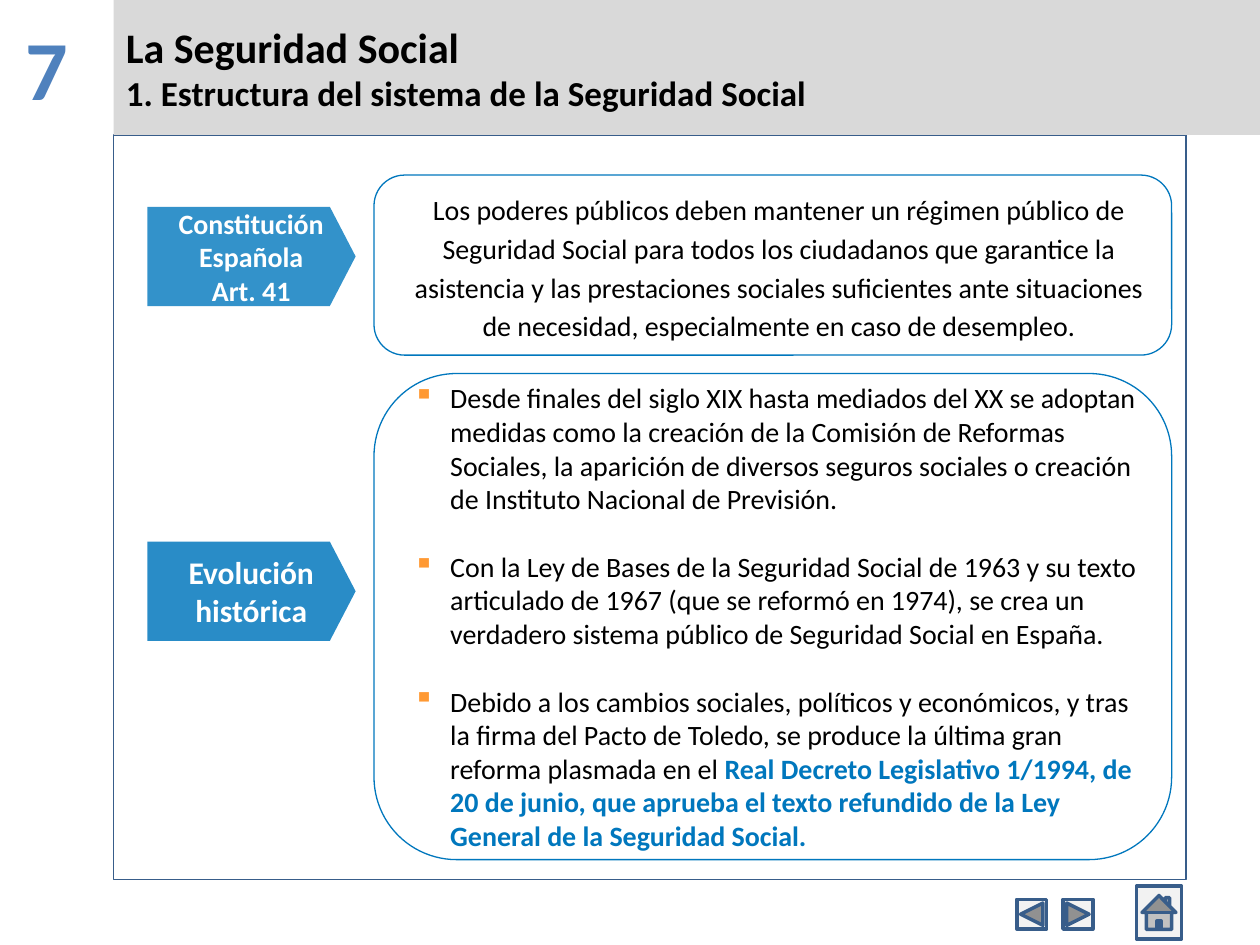
from dataclasses import dataclass

from lxml import etree
from pptx import Presentation
from pptx import util as u
from pptx.dml.color import RGBColor
from pptx.enum import shapes, text
from pptx.oxml.ns import qn

SHAPE = shapes.MSO_SHAPE
CENTER = text.PP_ALIGN.CENTER
LEFT = text.PP_ALIGN.LEFT


@dataclass(frozen=True)
class Theme:
    font: str = "Calibri"
    ink: str = "000000"
    white: str = "FFFFFF"
    number: str = "4F81BD"
    band: str = "D9D9D9"
    frame: str = "385D8A"
    button: str = "F2F2F2"
    accent: str = "0077BD"
    bullet: str = "FF9933"
    number_size: int = 48
    title_size: int = 24
    subtitle_size: int = 20
    label_size: int = 18
    body_size: int = 16


THEME = Theme()


def add_bullet(para, char, color, percent, indent):
    """Give the paragraph a coloured bullet; indent is (margin, first line) in cm."""
    props = para._p.get_or_add_pPr()
    margin, first = indent
    props.set("marL", str(u.Cm(margin)))
    props.set("indent", str(u.Cm(first)))
    bullet_color = etree.SubElement(props, qn("a:buClr"))
    etree.SubElement(bullet_color, qn("a:srgbClr"), val=color)
    etree.SubElement(props, qn("a:buSzPct"), val=str(percent * 1000))
    etree.SubElement(props, qn("a:buChar"), char=char)


def write(para, content, size=THEME.body_size, color=THEME.ink, bold=False,
          align=LEFT, before=0, after=0, spacing=None):
    """Add one span of text to the paragraph and set its format."""
    para.alignment = align
    para.space_before, para.space_after = u.Pt(before), u.Pt(after)
    if spacing:
        para.line_spacing = spacing
    span = para.add_run()
    span.text = content
    span.font.name = THEME.font
    span.font.size = u.Pt(size)
    span.font.bold = bold
    span.font.color.rgb = RGBColor.from_string(color)


class SlideBuilder:
    def __init__(self, page, theme):
        self.page = page
        self.theme = theme

    def set_frame(self, box, margins, anchor=text.MSO_ANCHOR.MIDDLE):
        frame = box.text_frame
        frame.word_wrap = True
        frame.vertical_anchor = anchor
        (frame.margin_left, frame.margin_top,
         frame.margin_right, frame.margin_bottom) = map(u.Cm, margins)
        return frame

    def shape(self, kind, place, fill=None, line=None, width=0.75, opacity=100):
        box = self.page.shapes.add_shape(kind, *map(u.Cm, place))
        box.shadow.inherit = False
        if fill:
            box.fill.solid()
            box.fill.fore_color.rgb = RGBColor.from_string(fill)
            if opacity < 100:
                color = box._element.spPr.find(qn("a:solidFill"))[0]
                etree.SubElement(color, qn("a:alpha"), val=str(opacity * 1000))
        else:
            box.fill.background()
        if line:
            box.line.color.rgb = RGBColor.from_string(line)
            box.line.width = u.Pt(width)
        else:
            box.line.fill.background()
        return box

    def unit_number(self, content):
        box = self.page.shapes.add_textbox(0, 0, u.Cm(2.29), u.Cm(2.54))
        frame = self.set_frame(box, (0.25, 0.33, 0.66, 0.13), text.MSO_ANCHOR.TOP)
        write(frame.paragraphs[0], content, size=self.theme.number_size,
              color=self.theme.number, bold=True, align=CENTER)

    def title_band(self, title, subtitle):
        band = self.shape(SHAPE.RECTANGLE, (2.29, 0, 23.11, 2.72), fill=self.theme.band)
        frame = self.set_frame(band, (0.25, 0.13, 0.25, 0.13))
        write(frame.paragraphs[0], title, size=self.theme.title_size, bold=True)
        write(frame.add_paragraph(), subtitle, size=self.theme.subtitle_size, bold=True)

    def nav_button(self, kind, place):
        self.shape(kind, place, fill=self.theme.button, line=self.theme.frame, width=2)

    def label(self, lines, top, size, opacity):
        arrow = self.shape(SHAPE.PENTAGON, (2.97, top, 4.2, 2),
                           fill=self.theme.accent, opacity=opacity)
        arrow.adjustments[0] = 0.26
        frame = self.set_frame(arrow, (0.5, 0.13, 0.25, 0.13))
        for index, line in enumerate(lines):
            para = frame.add_paragraph() if index else frame.paragraphs[0]
            write(para, line, size=size, color=self.theme.white, bold=True, align=CENTER)

    def panel(self, top, height, margins):
        box = self.shape(SHAPE.ROUNDED_RECTANGLE, (7.54, top, 16.08, height),
                         line=self.theme.accent)
        box.adjustments[0] = 0.17
        return self.set_frame(box, margins)

    def quote_panel(self, content, top, height):
        frame = self.panel(top, height, (0.3, 0.03, 0.05, 0.03))
        write(frame.paragraphs[0], content, align=CENTER, after=6, spacing=1.15)

    def bullet_panel(self, items, top, height):
        """Each item is a plain text and an optional highlighted ending."""
        frame = self.panel(top, height, (0.05, 0.05, 0.05, 0.05))
        for index, (plain, highlight) in enumerate(items):
            para = frame.add_paragraph() if index else frame.paragraphs[0]
            gap = 19.5 if index else 0
            add_bullet(para, "▪", self.theme.bullet, 105, (1, -0.75))
            write(para, plain, before=gap)
            if highlight:
                write(para, highlight, before=gap, color=self.theme.accent, bold=True)


def main():
    deck = Presentation()
    deck.slide_width, deck.slide_height = u.Cm(25.4), u.Cm(19.05)
    page = deck.slides.add_slide(deck.slide_layouts[6])
    builder = SlideBuilder(page, THEME)

    builder.unit_number("7")
    builder.shape(SHAPE.RECTANGLE, (2.29, 2.72, 21.62, 15.01), line=THEME.frame)
    builder.nav_button(SHAPE.ACTION_BUTTON_BACK_OR_PREVIOUS, (20.5, 18.13, 0.6, 0.6))
    builder.nav_button(SHAPE.ACTION_BUTTON_FORWARD_OR_NEXT, (21.43, 18.13, 0.6, 0.6))
    builder.title_band("La Seguridad Social",
                       "1. Estructura del sistema de la Seguridad Social")
    builder.nav_button(SHAPE.ACTION_BUTTON_HOME, (22.91, 17.86, 0.91, 1.07))

    builder.label(["Constitución Española", "Art. 41"], 4.17, THEME.body_size, 80)
    builder.label(["Evolución histórica"], 10.92, THEME.label_size, 84)

    builder.quote_panel(
        "Los poderes públicos deben mantener un régimen público de Seguridad Social "
        "para todos los ciudadanos que garantice la asistencia y las prestaciones "
        "sociales suficientes ante situaciones de necesidad, especialmente en caso "
        "de desempleo.", 3.53, 3.63)
    builder.bullet_panel([
        ("Desde finales del siglo XIX hasta mediados del XX se adoptan medidas como "
         "la creación de la Comisión de Reformas Sociales, la aparición de diversos "
         "seguros sociales o creación de Instituto Nacional de Previsión.", None),
        ("Con la Ley de Bases de la Seguridad Social de 1963 y su texto articulado de "
         "1967 (que se reformó en 1974), se crea un verdadero sistema público de "
         "Seguridad Social en España.", None),
        ("Debido a los cambios sociales, políticos y económicos, y tras la firma del "
         "Pacto de Toledo, se produce la última gran reforma plasmada en el ",
         "Real Decreto Legislativo 1/1994, de 20 de junio, que aprueba el texto "
         "refundido de la Ley General de la Seguridad Social."),
    ], 7.53, 9.8)

    deck.save("out.pptx")


if __name__ == "__main__":
    main()
